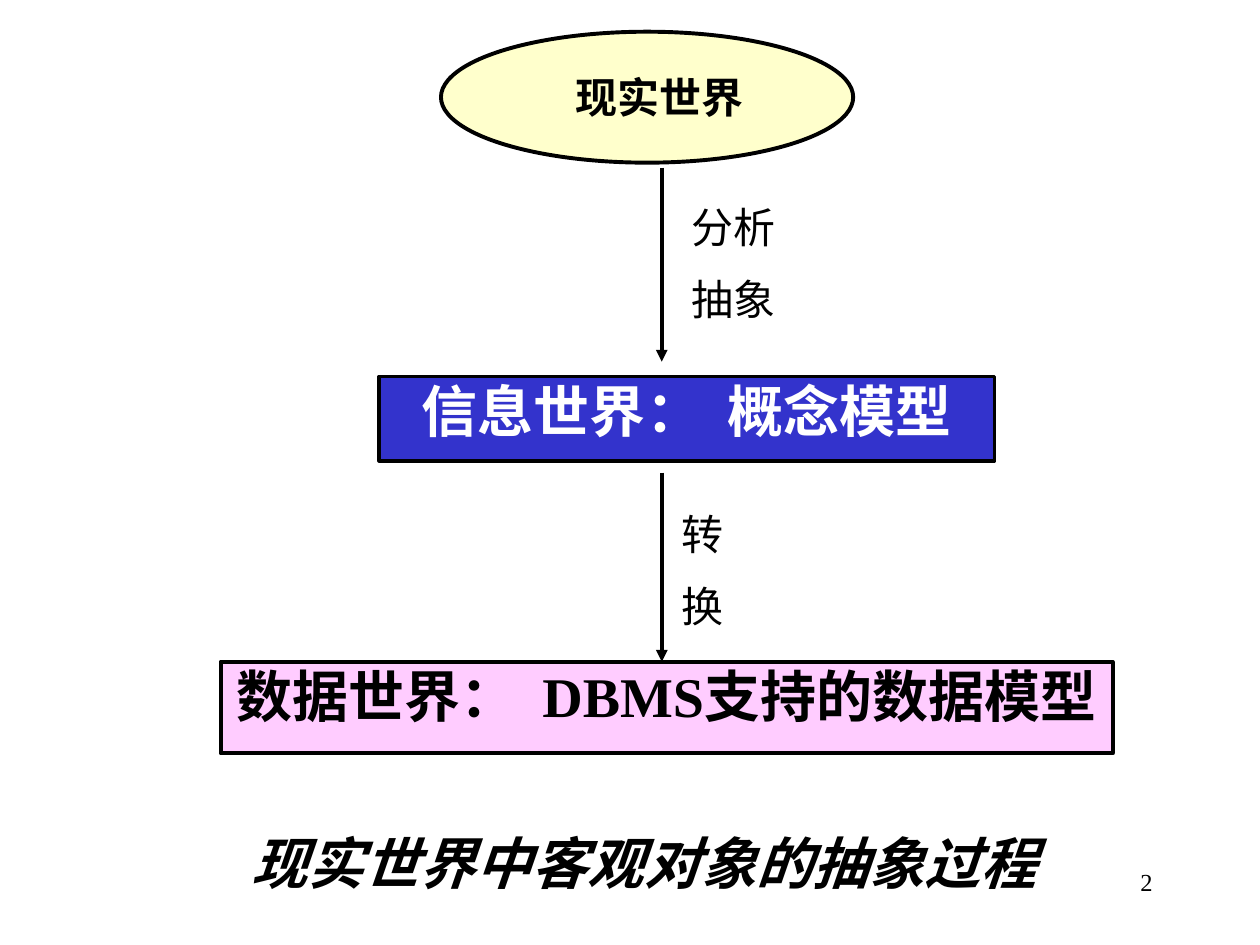
"""Build the slide on abstracting real-world objects into a data model."""
from dataclasses import dataclass

from pptx import Presentation
from pptx.dml.color import RGBColor
from pptx.enum import shapes, text
from pptx.oxml import parse_xml
from pptx.oxml.ns import nsdecls, qn
from pptx.util import Cm, Pt


@dataclass(frozen=True)
class Theme:
    font: str = "Times New Roman"
    black: str = "000000"
    white: str = "FFFFFF"
    blue: str = "3333CC"
    pink: str = "FFCCFF"
    cream: str = "FFFFCC"
    heading: int = 32
    body: int = 24
    small: int = 14
    stroke: float = 2.25


THEME = Theme()
OVAL, RECT = shapes.MSO_SHAPE.OVAL, shapes.MSO_SHAPE.RECTANGLE
TOP, MIDDLE = text.MSO_ANCHOR.TOP, text.MSO_ANCHOR.MIDDLE
LEFT, CENTER, RIGHT = text.PP_ALIGN.LEFT, text.PP_ALIGN.CENTER, text.PP_ALIGN.RIGHT

WORLDS = [
    (OVAL, "现实世界", (8.89, 0.64, 8.31, 2.64), THEME.cream, THEME.black, THEME.body, MIDDLE, 0.5),
    (RECT, "信息世界：  概念模型", (7.65, 7.59, 12.4, 1.7), THEME.blue, THEME.white, THEME.heading, TOP, 0),
    (RECT, "数据世界：  DBMS支持的数据模型", (4.45, 13.34, 17.98, 1.85), THEME.pink, THEME.black,
     THEME.heading, TOP, 0),
]
ARROW_X = 13.34
STEPS = [
    (["分析", "抽象"], (13.69, 3.94, 2.39, 2.79), (3.38, 7.29)),
    (["转", "换"], (13.49, 10.13, 2.39, 2.79), (9.53, 13.34)),
]
CAPTION = "现实世界中客观对象的抽象过程"
CAPTION_PLACE = (3.91, 16.71, 18.16, 1.7)
PAGE, PAGE_PLACE = "2", (18.21, 17.35, 5.28, 1.27)


def cm(lengths):
    return [Cm(length) for length in lengths]


def write(frame, lines, size, align, color=THEME.black, bold=False, italic=False, anchor=TOP):
    frame.word_wrap = True
    frame.auto_size = text.MSO_AUTO_SIZE.NONE
    frame.vertical_anchor = anchor
    frame.text = "\n".join(lines)
    for index, paragraph in enumerate(frame.paragraphs):
        paragraph.alignment = align
        paragraph.space_before = Pt(size / 2 if index else 0)
        font = paragraph.font
        font.name, font.size, font.bold, font.italic = THEME.font, Pt(size), bold, italic
        font.color.rgb = RGBColor.from_string(color)


def clear_margins(frame, left=0):
    frame.margin_left = Cm(left)
    frame.margin_top = frame.margin_right = frame.margin_bottom = 0


def stroke(line):
    line.color.rgb = RGBColor.from_string(THEME.black)
    line.width = Pt(THEME.stroke)


def add_world(slide, kind, name, place, fill, color, size, anchor, indent):
    world = slide.shapes.add_shape(kind, *cm(place))
    world.shadow.inherit = False
    world.fill.solid()
    world.fill.fore_color.rgb = RGBColor.from_string(fill)
    stroke(world.line)
    clear_margins(world.text_frame, indent)
    write(world.text_frame, [name], size, CENTER, color, bold=True, anchor=anchor)


def add_step(slide, words, place, span):
    start, end = span
    arrow = slide.shapes.add_connector(
        shapes.MSO_CONNECTOR.STRAIGHT, *cm((ARROW_X, start, ARROW_X, end)))
    stroke(arrow.line)
    properties = arrow._element.spPr
    properties.find(qn("a:ln")).append(parse_xml(f'<a:tailEnd {nsdecls("a")} type="triangle"/>'))
    properties.append(parse_xml(f'<a:effectLst {nsdecls("a")}/>'))
    label = slide.shapes.add_textbox(*cm(place))
    write(label.text_frame, words, THEME.body, LEFT)


def main():
    deck = Presentation()
    deck.slide_width, deck.slide_height = cm((25.4, 19.05))
    slide = deck.slides.add_slide(deck.slide_layouts[5])
    caption = slide.shapes.title
    caption.left, caption.top, caption.width, caption.height = cm(CAPTION_PLACE)
    clear_margins(caption.text_frame)
    write(caption.text_frame, [CAPTION], THEME.heading, CENTER, bold=True, italic=True)
    for world in WORLDS:
        add_world(slide, *world)
    for step in STEPS:
        add_step(slide, *step)
    page = slide.shapes.add_textbox(*cm(PAGE_PLACE))
    write(page.text_frame, [PAGE], THEME.small, RIGHT)
    deck.save("out.pptx")


if __name__ == "__main__":
    main()
